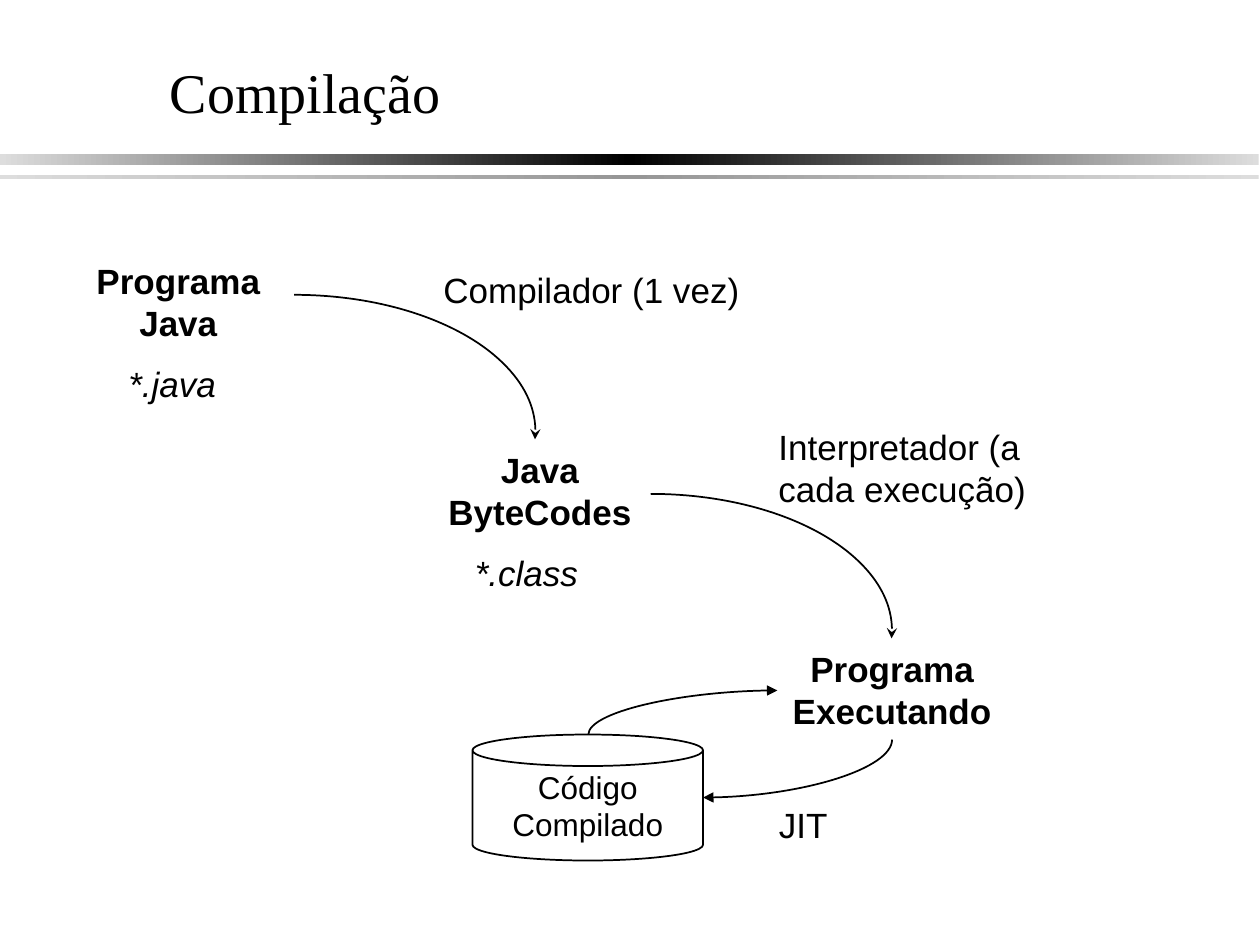
from copy import deepcopy
from dataclasses import dataclass

from lxml.etree import SubElement
from pptx import Presentation
from pptx.dml.color import RGBColor
from pptx.enum.shapes import MSO_CONNECTOR as Link, MSO_SHAPE as Preset
from pptx.enum.text import MSO_ANCHOR as Anchor, PP_ALIGN as Align
from pptx.oxml.ns import qn
from pptx.util import Inches, Pt

BLACK = RGBColor(0x00, 0x00, 0x00)
WHITE = RGBColor(0xFF, 0xFF, 0xFF)
GRAY = RGBColor(0x96, 0x96, 0x96)
SILVER = RGBColor(0xDD, 0xDD, 0xDD)


@dataclass(frozen=True)
class Stage:
    text: str
    left: float
    top: float
    width: float


@dataclass(frozen=True)
class Label:
    text: str
    left: float
    top: float
    width: float
    height: float = 0.43
    italic: bool = False
    align: Align = Align.LEFT


@dataclass(frozen=True)
class Step:
    left: float
    top: float


@dataclass(frozen=True)
class Exchange:
    start_x: float
    start_y: float
    end_x: float
    end_y: float


@dataclass(frozen=True)
class Rule:
    top: float
    height: float
    middle: RGBColor


RULES = [Rule(1.22, 0.09, BLACK), Rule(1.39, 0.03, GRAY)]
STAGES = [
    Stage("Programa Java", 0.59, 2.01, 1.65),
    Stage("Java ByteCodes", 3.34, 3.51, 1.89),
    Stage("Programa Executando", 6.17, 5.09, 1.82),
]
STEPS = [Step(0.42, 2.34), Step(3.25, 3.92)]
LABELS = [
    Label("Compilador (1 vez)", 3.42, 2.08, 2.67),
    Label("Interpretador (a cada execução)", 6.08, 3.33, 2.25, 0.77),
    Label("*.java", 0.92, 2.83, 1.08, italic=True),
    Label("*.class", 3.67, 4.33, 1.08, italic=True),
    Label("JIT", 6, 6.33, 0.75, align=Align.CENTER),
]
EXCHANGES = [Exchange(7.08, 5.87, 5.58, 6.33), Exchange(4.67, 5.83, 6.17, 5.48)]


def write(shape, lines: list[str], size: float, font: str = "Arial", bold: bool = False,
          italic: bool = False, align: Align = Align.LEFT,
          anchor: Anchor = Anchor.TOP, wrap: bool = True) -> None:
    frame = shape.text_frame
    frame.word_wrap = wrap
    frame.vertical_anchor = anchor
    frame.text = "\n".join(lines)
    for paragraph in frame.paragraphs:
        paragraph.alignment = align
        paragraph.font.name = font
        paragraph.font.size = Pt(size)
        paragraph.font.bold = bold
        paragraph.font.italic = italic
        paragraph.font.color.rgb = BLACK


def outline(shape, color: RGBColor) -> None:
    shape.line.color.rgb = color
    shape.line.width = Pt(1)


def add_arrowhead(shape, head: str) -> None:
    SubElement(shape.line._get_or_add_ln(), qn("a:tailEnd"), type=head)


def draw_title(slide) -> None:
    title = slide.shapes.add_textbox(Inches(1.25), Inches(0.37), Inches(8.5), Inches(0.71))
    write(title, ["Compilação"], 32, "Times New Roman", anchor=Anchor.MIDDLE)
    run_properties = title.text_frame.paragraphs[0].runs[0]._r.get_or_add_rPr()
    effects = SubElement(run_properties, qn("a:effectLst"))
    shadow = SubElement(effects, qn("a:outerShdw"), dist="25400", dir="2700000")
    SubElement(shadow, qn("a:srgbClr"), val="C0C0C0")


def draw_rule(slide, rule: Rule) -> None:
    bar = slide.shapes.add_shape(Preset.RECTANGLE, 0, Inches(rule.top),
                                 Inches(9.99), Inches(rule.height))
    bar.shadow.inherit = False
    bar.line.fill.background()
    bar.fill.gradient()
    bar.fill.gradient_angle = 0
    first = bar._element.spPr.find(".//" + qn("a:gs"))
    first.addnext(deepcopy(first))
    colors = (SILVER, rule.middle, SILVER)
    for stop, color, position in zip(bar.fill.gradient_stops, colors, (0, 0.5, 1)):
        stop.color.rgb = color
        stop.position = position


def draw_stage(slide, stage: Stage) -> None:
    box = slide.shapes.add_shape(Preset.RECTANGLE, Inches(stage.left), Inches(stage.top),
                                 Inches(stage.width), Inches(0.77))
    box.shadow.inherit = False
    box.fill.background()
    outline(box, WHITE)
    write(box, [stage.text], 20, bold=True, align=Align.CENTER)


def draw_step(slide, step: Step) -> None:
    arc = slide.shapes.add_shape(Preset.ARC, Inches(step.left), Inches(step.top),
                                 Inches(3.83), Inches(2.17))
    arc.adjustments[1] = 1.11
    arc.shadow.inherit = False
    arc.fill.background()
    outline(arc, BLACK)
    add_arrowhead(arc, "stealth")


def draw_label(slide, label: Label) -> None:
    box = slide.shapes.add_textbox(Inches(label.left), Inches(label.top),
                                   Inches(label.width), Inches(label.height))
    write(box, [label.text], 20, italic=label.italic, align=label.align)


def draw_store(slide) -> None:
    store = slide.shapes.add_shape(Preset.CAN, Inches(3.75), Inches(5.83),
                                   Inches(1.83), Inches(1))
    store.shadow.inherit = False
    store.fill.solid()
    store.fill.fore_color.rgb = WHITE
    outline(store, BLACK)
    write(store, ["Código", "Compilado"], 18, align=Align.CENTER,
          anchor=Anchor.MIDDLE, wrap=False)


def draw_exchange(slide, exchange: Exchange) -> None:
    center_x = (exchange.start_x + exchange.end_x) / 2
    center_y = (exchange.start_y + exchange.end_y) / 2
    half_x = (exchange.end_y - exchange.start_y) / 2
    half_y = (exchange.start_x - exchange.end_x) / 2
    curve = slide.shapes.add_connector(
        Link.CURVE, Inches(center_x - half_x), Inches(center_y - half_y),
        Inches(center_x + half_x), Inches(center_y + half_y))
    properties = curve._element.spPr
    properties.find(qn("a:xfrm")).set("rot", str(90 * 60000))
    properties.find(qn("a:prstGeom")).set("prst", "curvedConnector2")
    outline(curve, BLACK)
    add_arrowhead(curve, "triangle")
    SubElement(properties, qn("a:effectLst"))


def main() -> None:
    deck = Presentation()
    deck.slide_width, deck.slide_height = Inches(10), Inches(7.5)
    slide = deck.slides.add_slide(deck.slide_layouts[6])
    for rule in RULES:
        draw_rule(slide, rule)
    draw_title(slide)
    for stage in STAGES:
        draw_stage(slide, stage)
    for step in STEPS:
        draw_step(slide, step)
    for label in LABELS:
        draw_label(slide, label)
    draw_store(slide)
    for exchange in EXCHANGES:
        draw_exchange(slide, exchange)
    deck.save("out.pptx")


if __name__ == "__main__":
    main()
